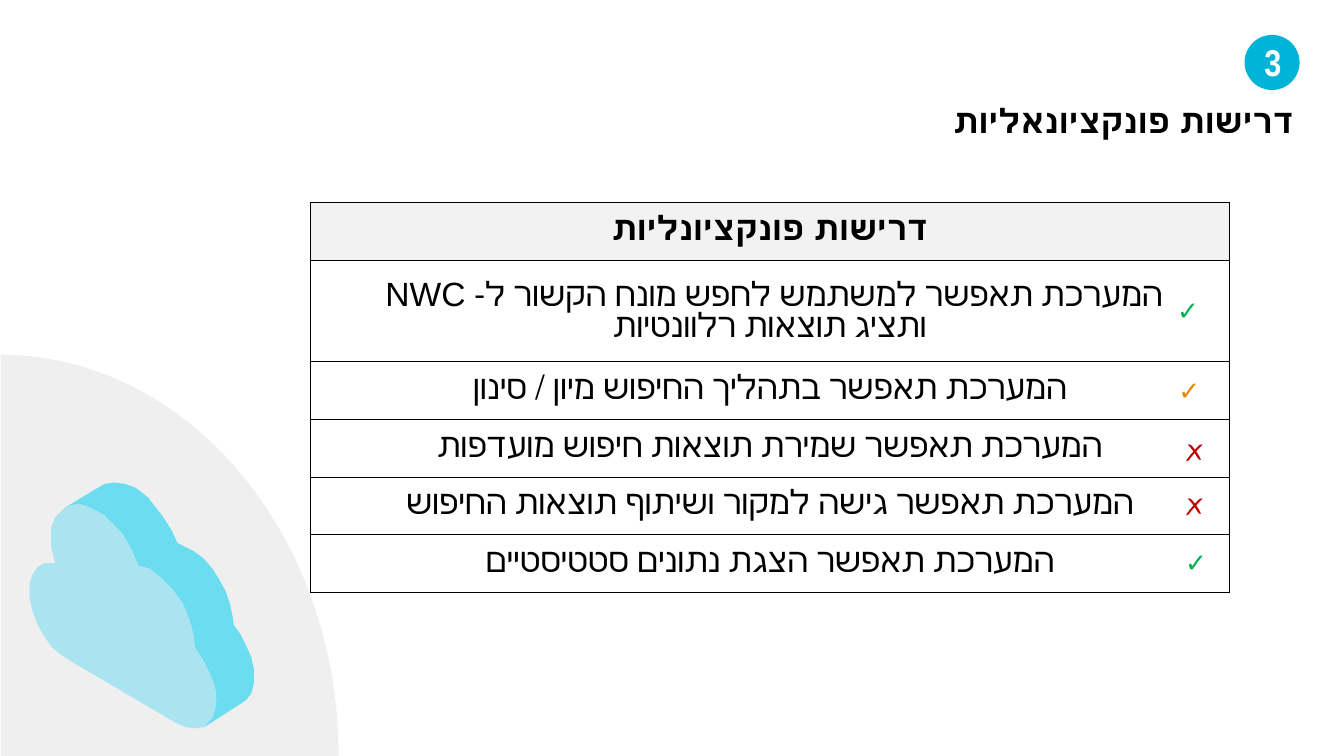
from lxml.etree import SubElement
from pptx import Presentation
from pptx.dml.color import RGBColor
from pptx.enum.shapes import MSO_SHAPE
from pptx.enum.text import MSO_ANCHOR, PP_ALIGN
from pptx.oxml.ns import qn
from pptx.util import Inches, Pt

BLACK = RGBColor(0x00, 0x00, 0x00)
WHITE = RGBColor(0xFF, 0xFF, 0xFF)
CYAN = RGBColor(0x00, 0xB4, 0xD8)
PALE_GRAY = RGBColor(0xEF, 0xEF, 0xEF)
HEADER_GRAY = RGBColor(0xF2, 0xF2, 0xF2)
CLOUD_SIDE = RGBColor(0x6C, 0xDC, 0xF1)
CLOUD_FRONT = RGBColor(0xAA, 0xE4, 0xF0)
GREEN = RGBColor(0x00, 0xB0, 0x50)
ORANGE = RGBColor(0xE6, 0x89, 0x00)
RED = RGBColor(0xC0, 0x00, 0x00)


def write_text(text_frame, text, size=18, color=BLACK, bold=False, font="Arial",
               align=PP_ALIGN.LEFT, rtl=False, anchor=MSO_ANCHOR.TOP, spacing=None):
    text_frame.word_wrap = True
    text_frame.vertical_anchor = anchor
    paragraph = text_frame.paragraphs[0]
    paragraph.text = text
    paragraph.alignment = align
    paragraph.line_spacing = spacing
    if rtl:
        paragraph._p.get_or_add_pPr().set("rtl", "1")
    for run in paragraph.runs:
        run.font.size = Pt(size)
        run.font.bold = bold
        run.font.name = font
        run.font.color.rgb = color


def paint(shape, color):
    shape.shadow.inherit = False
    shape.fill.solid()
    shape.fill.fore_color.rgb = color
    shape.line.fill.background()


presentation = Presentation()
presentation.slide_width = Inches(10)
presentation.slide_height = Inches(10 * 9 / 16)
slide = presentation.slides.add_slide(presentation.slide_layouts[5])
shapes = slide.shapes

circle = shapes.add_shape(MSO_SHAPE.OVAL, Inches(9.26), Inches(0.26), Inches(0.41), Inches(0.41))
paint(circle, CYAN)
number = shapes.add_textbox(Inches(9.31), Inches(0.31), Inches(0.33), Inches(0.3))
number.text_frame.margin_top = number.text_frame.margin_bottom = Inches(0.1)
write_text(number.text_frame, "3", size=20, color=WHITE, bold=True,
           font="Arial Narrow", anchor=MSO_ANCHOR.MIDDLE)

title = shapes.title
title.left, title.top, title.width, title.height = (
    Inches(5.73), Inches(0.69), Inches(4), Inches(0.4))
write_text(title.text_frame, "דרישות פונקציונאליות", bold=True, align=PP_ALIGN.RIGHT, rtl=True)

quarter = shapes.add_shape(MSO_SHAPE.PIE, Inches(-2.51), Inches(2.64), Inches(5.03), Inches(5.97))
quarter.adjustments[0] = 162
quarter.adjustments[1] = 0
paint(quarter, PALE_GRAY)

shared_edge = [
    (0.48, 3.78), (0.53, 3.76), (0.59, 3.75), (0.65, 3.77), (0.72, 3.8), (0.77, 3.83),
    (0.84, 3.9), (0.91, 3.97), (0.98, 4.09), (1.03, 4.21), (1.11, 4.23), (1.2, 4.3),
    (1.28, 4.38), (1.36, 4.49), (1.41, 4.61), (1.44, 4.73), (1.45, 4.82), (1.51, 4.91),
    (1.56, 5.01), (1.6, 5.11), (1.61, 5.21), (1.6, 5.28), (1.58, 5.34), (1.52, 5.41)]
outer_edge = [
    (1.77, 5.25), (1.83, 5.21), (1.87, 5.16), (1.89, 5.08), (1.89, 4.98), (1.87, 4.89),
    (1.83, 4.8), (1.79, 4.72), (1.74, 4.65), (1.73, 4.58), (1.71, 4.49), (1.68, 4.4),
    (1.63, 4.31), (1.58, 4.23), (1.51, 4.15), (1.44, 4.1), (1.32, 4.04), (1.28, 3.95),
    (1.21, 3.84), (1.1, 3.7), (1.01, 3.63), (0.93, 3.6), (0.85, 3.59), (0.78, 3.6),
    (0.71, 3.64)]
lower_edge = [
    (1.45, 5.42), (1.38, 5.41), (1.31, 5.38), (0.51, 4.91), (0.45, 4.87), (0.39, 4.82),
    (0.34, 4.75), (0.28, 4.65), (0.24, 4.54), (0.22, 4.45), (0.22, 4.34), (0.24, 4.28),
    (0.28, 4.22), (0.33, 4.19), (0.41, 4.19), (0.38, 4.07), (0.38, 3.93), (0.41, 3.85)]
for rest, color in ((outer_edge, CLOUD_SIDE), (lower_edge, CLOUD_FRONT)):
    points = [(Inches(x), Inches(y)) for x, y in shared_edge + rest]
    builder = shapes.build_freeform(*points[0])
    builder.add_line_segments(points[1:])
    paint(builder.convert_to_shape(), color)

rows = [
    ("דרישות פונקציונליות", 0.43),
    ("המערכת תאפשר למשתמש לחפש מונח הקשור ל- NWC \vותציג תוצאות רלוונטיות", 0.75),
    ("המערכת תאפשר בתהליך החיפוש מיון / סינון", 0.43),
    ("המערכת תאפשר שמירת תוצאות חיפוש מועדפות", 0.43),
    ("המערכת תאפשר גישה למקור ושיתוף תוצאות החיפוש", 0.43),
    ("המערכת תאפשר הצגת נתונים סטטיסטיים", 0.43),
]
table = shapes.add_table(len(rows), 1, Inches(2.31), Inches(1.51), Inches(6.84), Inches(2.9)).table
table.horz_banding = False
for index, (text, height) in enumerate(rows):
    table.rows[index].height = Inches(height)
    cell = table.cell(index, 0)
    cell.margin_left = cell.margin_right = Inches(0.07)
    cell.margin_top = cell.margin_bottom = Inches(0.05)
    cell.vertical_anchor = MSO_ANCHOR.MIDDLE
    write_text(cell.text_frame, text, bold=index == 0, align=PP_ALIGN.CENTER,
               rtl=True, anchor=None, spacing=0.9)
    for side in ("a:lnL", "a:lnR", "a:lnT", "a:lnB"):
        border = SubElement(cell._tc.get_or_add_tcPr(), qn(side), w=str(Pt(0.5)))
        border_fill = SubElement(border, qn("a:solidFill"))
        SubElement(border_fill, qn("a:srgbClr"), val=str(BLACK))
    if index == 0:
        cell.fill.solid()
        cell.fill.fore_color.rgb = HEADER_GRAY
    else:
        cell.fill.background()

marks = [
    (8.66, 2.14, "✓", GREEN),
    (8.72, 4.02, "✓", GREEN),
    (8.7, 3.56, "🗴", RED),
    (8.7, 3.16, "🗴", RED),
    (8.67, 2.74, "✓", ORANGE),
]
for left, top, symbol, color in marks:
    is_check = symbol == "✓"
    mark = shapes.add_textbox(Inches(left), Inches(top), Inches(0.43),
                              Inches(0.34 if is_check else 0.4))
    write_text(mark.text_frame, symbol, size=14 if is_check else 18, color=color, bold=is_check)

presentation.save("out.pptx")
